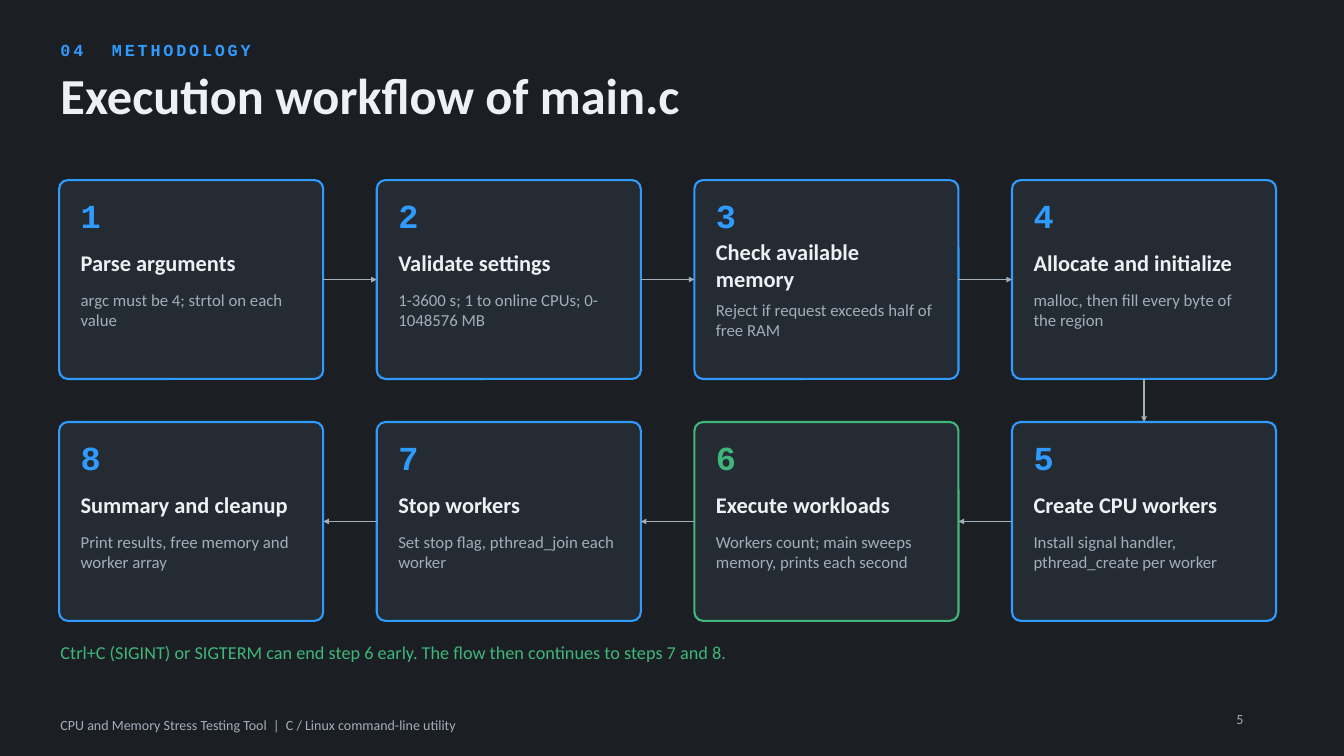
"""Build the slide showing the eight-step execution workflow of main.c."""
from dataclasses import dataclass
from itertools import pairwise

from lxml.etree import SubElement
from pptx import Presentation
from pptx.dml.color import RGBColor
from pptx.enum.shapes import MSO_CONNECTOR as CONN, MSO_SHAPE as SHAPE
from pptx.enum.text import MSO_ANCHOR as ANCHOR, MSO_AUTO_SIZE as AUTO
from pptx.oxml.ns import qn
from pptx.shapes.autoshape import Shape
from pptx.slide import Slide
from pptx.util import Inches, Pt

BACKGROUND = RGBColor(0x1B, 0x1F, 0x24)
CARD_FILL = RGBColor(0x25, 0x2B, 0x32)
BLUE = RGBColor(0x2F, 0x9B, 0xFF)
GREEN = RGBColor(0x3F, 0xB6, 0x7A)
WHITE = RGBColor(0xED, 0xF1, 0xF5)
GREY = RGBColor(0xA3, 0xAE, 0xBB)
SANS, MONO = "Calibri", "Courier New"

COLUMNS = 4
CARD_W, CARD_H, RADIUS = 3.93, 2.96, 0.13
LEFT, RIGHT = 0.88, 18.99
PITCH = (RIGHT - LEFT - CARD_W) / (COLUMNS - 1)
ROW_TOPS = (2.68, 6.28)
PADDING = 0.32
TOP, LEFT_SIDE, BOTTOM, RIGHT_SIDE = range(4)


@dataclass(frozen=True)
class Style:
    size: float
    color: RGBColor
    font: str = SANS
    bold: bool = False
    tracking: float = 0


@dataclass(frozen=True)
class Step:
    title: str
    detail: str
    accent: RGBColor = BLUE
    title_y: float = 1.03
    detail_y: float = 1.63


STEPS = (
    Step("Parse arguments", "argc must be 4; strtol on each value"),
    Step("Validate settings", "1-3600 s; 1 to online CPUs; 0-1048576 MB"),
    Step("Check available memory", "Reject if request exceeds half of free RAM",
         title_y=0.87, detail_y=1.78),
    Step("Allocate and initialize", "malloc, then fill every byte of the region"),
    Step("Create CPU workers", "Install signal handler, pthread_create per worker"),
    Step("Execute workloads", "Workers count; main sweeps memory, prints each second",
         accent=GREEN),
    Step("Stop workers", "Set stop flag, pthread_join each worker"),
    Step("Summary and cleanup", "Print results, free memory and worker array"),
)


def add_text(s: Slide, text: str, x: float, y: float, w: float, h: float,
             style: Style, grow: bool = True) -> None:
    sp = s.shapes.add_textbox(Inches(x), Inches(y), Inches(w), Inches(h))
    tf = sp.text_frame
    tf.margin_left = tf.margin_right = tf.margin_top = tf.margin_bottom = 0
    tf.word_wrap = True
    tf.auto_size = AUTO.SHAPE_TO_FIT_TEXT if grow else AUTO.NONE
    tf.vertical_anchor = ANCHOR.TOP if grow else ANCHOR.MIDDLE
    tf.text = text
    p = tf.paragraphs[0]
    p.line_spacing = Pt(style.size * 1.2)
    r = p.runs[0]
    r.font.name = style.font
    r.font.size = Pt(style.size)
    r.font.bold = style.bold
    r.font.color.rgb = style.color
    if style.tracking:
        r.font._element.set("spc", str(round(style.tracking * 100)))


def add_card(s: Slide, index: int, step: Step) -> Shape:
    row, column = divmod(index, COLUMNS)
    if row:
        column = COLUMNS - 1 - column
    x, y = LEFT + column * PITCH, ROW_TOPS[row]
    sp = s.shapes.add_shape(SHAPE.ROUNDED_RECTANGLE, Inches(x), Inches(y),
                            Inches(CARD_W), Inches(CARD_H))
    sp.adjustments[0] = RADIUS / CARD_H
    sp.shadow.inherit = False
    sp.fill.solid()
    sp.fill.fore_color.rgb = CARD_FILL
    sp.line.color.rgb = step.accent
    sp.line.width = Pt(2.25)
    x += PADDING
    add_text(s, str(index + 1), x, y + 0.22, 0.9, 0.77,
             Style(36, step.accent, MONO, bold=True))
    add_text(s, step.title, x, y + step.title_y, 3.3, 0.64, Style(24, WHITE, bold=True))
    add_text(s, step.detail, x, y + step.detail_y, 3.3, 1.24, Style(18, GREY))
    return sp


def add_arrow(s: Slide, start: Shape, end: Shape) -> None:
    if start.left == end.left:
        sides = BOTTOM, TOP
    elif start.left < end.left:
        sides = RIGHT_SIDE, LEFT_SIDE
    else:
        sides = LEFT_SIDE, RIGHT_SIDE
    arrow = s.shapes.add_connector(CONN.STRAIGHT, 0, 0, 0, 0)
    arrow.begin_connect(start, sides[0])
    arrow.end_connect(end, sides[1])
    arrow.line.color.rgb = GREY
    arrow.line.width = Pt(1.5)
    SubElement(arrow.line._get_or_add_ln(), qn("a:tailEnd"), type="triangle")
    SubElement(arrow._element.spPr, qn("a:effectLst"))


def main() -> None:
    prs = Presentation()
    prs.slide_width, prs.slide_height = Inches(20), Inches(11.25)
    s = prs.slides.add_slide(prs.slide_layouts[6])
    s.background.fill.solid()
    s.background.fill.fore_color.rgb = BACKGROUND

    add_text(s, "CPU and Memory Stress Testing Tool  |  C / Linux command-line utility",
             0.9, 10.54, 13.5, 0.48, Style(15, GREY), grow=False)
    add_text(s, "04  METHODOLOGY", 0.9, 0.59, 12, 0.46,
             Style(18, BLUE, MONO, bold=True, tracking=3))
    add_text(s, "Execution workflow of main.c", 0.9, 0.95, 18.15, 1.18,
             Style(54, WHITE, bold=True))

    cards = [add_card(s, i, step) for i, step in enumerate(STEPS)]
    for start, end in pairwise(cards):
        add_arrow(s, start, end)

    add_text(s, "Ctrl+C (SIGINT) or SIGTERM can end step 6 early. "
             "The flow then continues to steps 7 and 8.",
             0.9, 9.55, 18, 0.65, Style(19.5, GREEN))
    add_text(s, "5", 18.4, 10.58, 0.7, 0.39, Style(15, GREY))
    prs.save("out.pptx")


if __name__ == "__main__":
    main()
